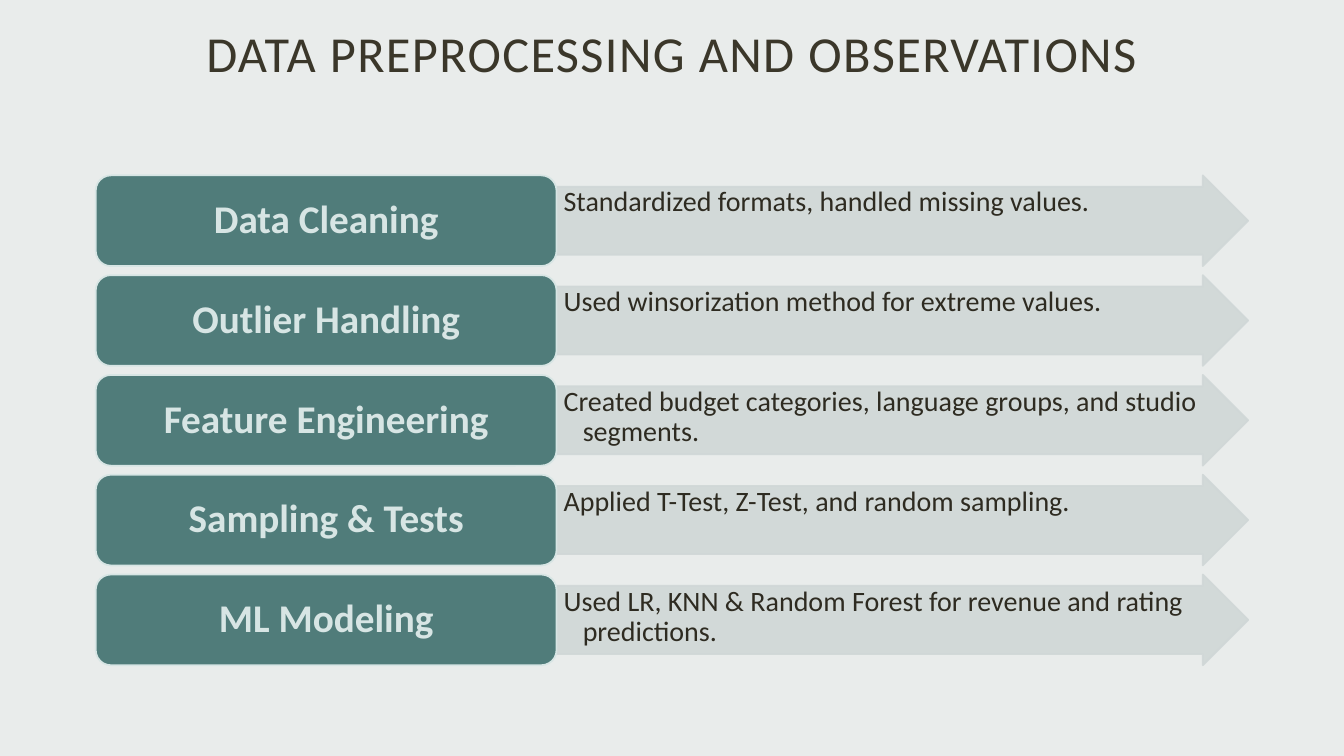
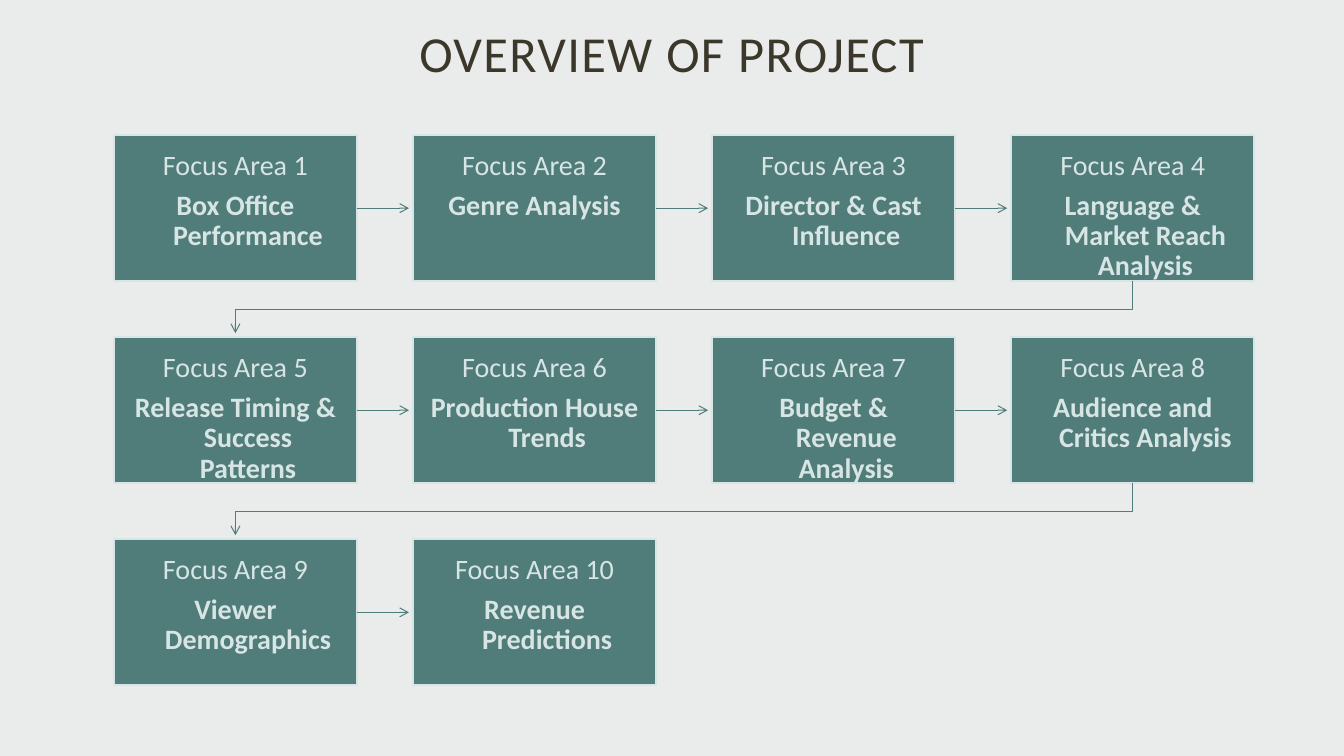
from lxml.etree import SubElement
from pptx import Presentation
from pptx.dml.color import RGBColor
from pptx.enum.shapes import MSO_CONNECTOR as Connector
from pptx.enum.shapes import MSO_SHAPE as Preset
from pptx.enum.text import MSO_ANCHOR as Anchor
from pptx.enum.text import MSO_AUTO_SIZE as AutoSize
from pptx.enum.text import PP_ALIGN as Align
from pptx.oxml.ns import qn
from pptx.util import Inches, Pt

STEPS_TITLE = "DATA PREPROCESSING AND OBSERVATIONS"
STEPS = [
    ("Data Cleaning", "Standardized formats, handled missing values."),
    ("Outlier Handling", "Used winsorization method for extreme values."),
    ("Feature Engineering", "Created budget categories, language groups, and studio segments."),
    ("Sampling & Tests", "Applied T-Test, Z-Test, and random sampling."),
    ("ML Modeling", "Used LR, KNN & Random Forest for revenue and rating predictions."),
]
AREAS_TITLE = "OVERVIEW OF PROJECT"
AREAS = [
    "Box Office Performance",
    "Genre Analysis",
    "Director & Cast Influence",
    "Language & Market Reach Analysis",
    "Release Timing & Success Patterns",
    "Production House Trends",
    "Budget & Revenue Analysis",
    "Audience and Critics Analysis",
    "Viewer Demographics",
    "Revenue Predictions",
]

COLORS = {
    "background": "E9ECEB",
    "title": "3B372A",
    "body": "2E2B21",
    "teal": "507C7A",
    "pale": "D7E5E4",
    "arrow": "D0D7D7",
}
FONT = "Calibri"
WIDTH, HEIGHT = 13.33, 7.5
TITLE_HEIGHT = 1.15

STEP_LEFT, STEP_TOP, STEP_PITCH, STEP_HEIGHT = 0.95, 1.74, 0.99, 0.9
LABEL_WIDTH, ARROW_WIDTH = 4.57, 6.86

COLUMNS, ROWS = 4, 3
GRID_LEFT, GRID_TOP, GRID_RIGHT, GRID_BOTTOM = 1.13, 1.34, 12.44, 6.8
BOX_WIDTH, BOX_HEIGHT = 2.41, 1.45
COLUMN_PITCH = (GRID_RIGHT - GRID_LEFT - BOX_WIDTH) / (COLUMNS - 1)
ROW_PITCH = (GRID_BOTTOM - GRID_TOP - BOX_HEIGHT) / (ROWS - 1)
ARROW_GAP = 0.04


def color(name):
    return RGBColor.from_string(COLORS[name])


def write(frame, text, size, ink, bold=False, align=Align.CENTER, line_spacing=0.9,
          space_after=0, hanging=0, tracking=0, add=False):
    paragraph = frame.add_paragraph() if add else frame.paragraphs[0]
    paragraph.alignment = align
    paragraph.line_spacing = line_spacing
    paragraph.space_before = Pt(0)
    paragraph.space_after = Pt(space_after)
    if hanging:
        properties = paragraph._p.get_or_add_pPr()
        properties.set("marL", str(Inches(hanging)))
        properties.set("indent", str(-Inches(hanging)))
    run = paragraph.add_run()
    run.text = text
    run.font.name = FONT
    run.font.size = Pt(size)
    run.font.bold = bold
    run.font.color.rgb = color(ink)
    if tracking:
        run._r.get_or_add_rPr().set("spc", str(tracking * 100))


def set_frame(frame, anchor, left, top, right, bottom):
    frame.word_wrap = True
    frame.auto_size = AutoSize.NONE
    frame.vertical_anchor = anchor
    frame.margin_left, frame.margin_top = Inches(left), Inches(top)
    frame.margin_right, frame.margin_bottom = Inches(right), Inches(bottom)


def add_panel(slide, preset, box, fill, line, weight, opacity=None):
    shape = slide.shapes.add_shape(preset, *map(Inches, box))
    shape.shadow.inherit = False
    shape.fill.solid()
    shape.fill.fore_color.rgb = color(fill)
    shape.line.color.rgb = color(line)
    shape.line.width = Pt(weight)
    if opacity:
        for element in shape._element.spPr.iter(qn("a:srgbClr")):
            SubElement(element, qn("a:alpha")).set("val", str(opacity * 1000))
    return shape


def add_flow_arrow(slide, points):
    points = [(Inches(x), Inches(y)) for x, y in points]
    if len(points) == 2:
        arrow = slide.shapes.add_connector(Connector.STRAIGHT, *points[0], *points[1])
    else:
        builder = slide.shapes.build_freeform(*points[0])
        builder.add_line_segments(points[1:], close=False)
        arrow = builder.convert_to_shape()
        arrow.fill.background()
    arrow.line.color.rgb = color("teal")
    arrow.line.width = Pt(0.75)
    properties = arrow._element.spPr
    SubElement(properties.find(qn("a:ln")), qn("a:tailEnd")).set("type", "arrow")
    SubElement(properties, qn("a:effectLst"))


def add_titled_slide(presentation, title):
    slide = presentation.slides.add_slide(presentation.slide_layouts[5])
    frame = slide.shapes.title.text_frame
    set_frame(frame, Anchor.MIDDLE, 0.1, 0.05, 0.1, 0.05)
    write(frame, title, 36, "title", line_spacing=0.8, tracking=1)
    return slide


def build_steps(presentation):
    slide = add_titled_slide(presentation, STEPS_TITLE)
    for row, (label, detail) in enumerate(STEPS):
        top = STEP_TOP + row * STEP_PITCH
        arrow = add_panel(slide, Preset.RIGHT_ARROW,
                          (STEP_LEFT + LABEL_WIDTH, top, ARROW_WIDTH, STEP_HEIGHT),
                          "arrow", "arrow", 1.25, opacity=90)
        arrow.adjustments[0] = 0.75
        set_frame(arrow.text_frame, Anchor.TOP, 0.07, 0.01, 0.01, 0.01)
        write(arrow.text_frame, detail, 20, "body", align=Align.LEFT, hanging=0.19)
        panel = add_panel(slide, Preset.ROUNDED_RECTANGLE,
                          (STEP_LEFT, top, LABEL_WIDTH, STEP_HEIGHT), "teal", "pale", 1.25)
        set_frame(panel.text_frame, Anchor.MIDDLE, 0.12, 0.06, 0.12, 0.06)
        write(panel.text_frame, label, 28, "pale", bold=True)


def build_areas(presentation):
    slide = add_titled_slide(presentation, AREAS_TITLE)
    for index, area in enumerate(AREAS):
        row, column = divmod(index, COLUMNS)
        left = GRID_LEFT + column * COLUMN_PITCH
        top = GRID_TOP + row * ROW_PITCH
        box = add_panel(slide, Preset.RECTANGLE, (left, top, BOX_WIDTH, BOX_HEIGHT),
                        "teal", "pale", 1.5)
        set_frame(box.text_frame, Anchor.TOP, 0.16, 0.16, 0.16, 0.16)
        write(box.text_frame, f"Focus Area {index + 1}", 20, "pale", space_after=7)
        write(box.text_frame, area, 20, "pale", bold=True, hanging=0.25, add=True)
        if index == len(AREAS) - 1:
            continue
        if column < COLUMNS - 1:
            middle = top + BOX_HEIGHT / 2
            points = [(left + BOX_WIDTH, middle), (left + COLUMN_PITCH - ARROW_GAP, middle)]
        else:
            bottom, next_top = top + BOX_HEIGHT, top + ROW_PITCH
            turn = (bottom + next_top) / 2
            start, end = left + BOX_WIDTH / 2, GRID_LEFT + BOX_WIDTH / 2
            points = [(start, bottom), (start, turn), (end, turn), (end, next_top - ARROW_GAP)]
        add_flow_arrow(slide, points)


def main():
    presentation = Presentation()
    presentation.slide_width, presentation.slide_height = Inches(WIDTH), Inches(HEIGHT)
    background = presentation.slide_master.background.fill
    background.solid()
    background.fore_color.rgb = color("background")
    title = presentation.slide_layouts[5].placeholders[0]
    title.left, title.top = 0, 0
    title.width, title.height = Inches(WIDTH), Inches(TITLE_HEIGHT)
    build_steps(presentation)
    build_areas(presentation)
    presentation.save("out.pptx")


if __name__ == "__main__":
    main()
